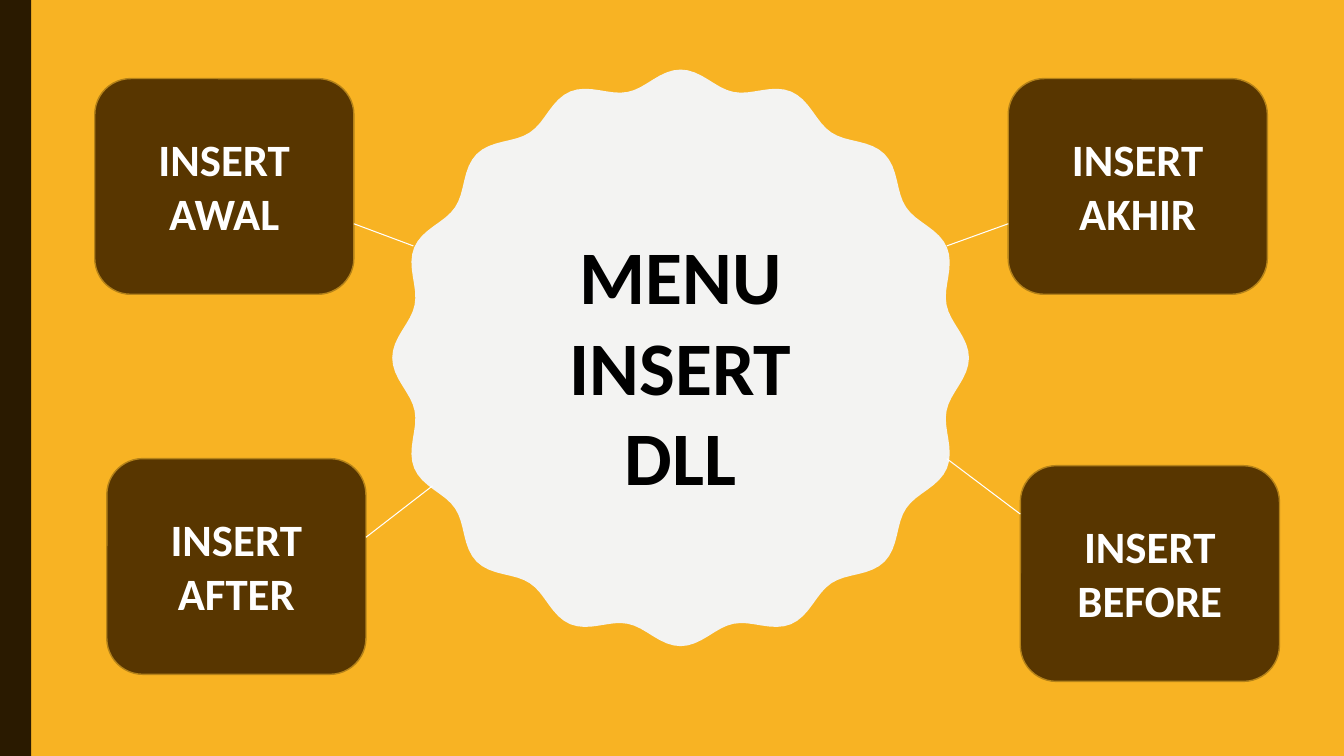
from dataclasses import dataclass
from math import cos, pi, sin

from pptx import Presentation
from pptx.dml.color import RGBColor
from pptx.enum.shapes import MSO_CONNECTOR, MSO_SHAPE
from pptx.enum.text import MSO_AUTO_SIZE, PP_ALIGN
from pptx.oxml.ns import qn
from pptx.util import Inches, Pt
from lxml.etree import SubElement


@dataclass(frozen=True)
class Theme:
    background: str = "F8B323"
    band: str = "2A1A00"
    badge: str = "F3F3F2"
    card: str = "583600"
    card_edge: str = "B48219"
    light: str = "FFFFFF"
    dark: str = "000000"
    font: str = "Calibri"
    title_size: int = 54
    card_size: int = 32


THEME = Theme()
SLIDE_WIDTH, SLIDE_HEIGHT = 13.33, 7.5
CARD_WIDTH, CARD_HEIGHT = 2.57, 2.14


def rgb(value):
    return RGBColor.from_string(value)


def paint(shape, fill, edge=None):
    shape.shadow.inherit = False
    shape.fill.solid()
    shape.fill.fore_color.rgb = rgb(fill)
    if edge:
        shape.line.color.rgb = rgb(edge)
        shape.line.width = Pt(1)
    else:
        shape.line.fill.background()


def add_text(slide, paragraphs, left, top, width, height, *, size, color):
    box = slide.shapes.add_textbox(*map(Inches, (left, top, width, height)))
    frame = box.text_frame
    frame.word_wrap = True
    frame.auto_size = MSO_AUTO_SIZE.SHAPE_TO_FIT_TEXT
    frame.text = "\n".join(paragraphs)
    for paragraph in frame.paragraphs:
        paragraph.alignment = PP_ALIGN.CENTER
        font = paragraph.runs[0].font
        font.name = THEME.font
        font.size = Pt(size)
        font.bold = True
        font.color.rgb = rgb(color)


def add_side_band(slide, left, top, width, height):
    band = slide.shapes.add_shape(
        MSO_SHAPE.RECTANGLE, *map(Inches, (left, top, width, height)))
    paint(band, THEME.band)


def add_badge(slide, left, top, size, paragraphs):
    # Scalloped disc: the radius swings between the lobes and the dips
    lobes, steps, depth = 16, 256, 0.17
    outer = size / 2
    center_x, center_y = left + outer, top + outer
    outline = []
    for step in range(steps):
        angle = 2 * pi * step / steps
        radius = outer - depth * (1 - cos(lobes * angle)) / 2
        outline.append((Inches(center_x + radius * sin(angle)),
                        Inches(center_y - radius * cos(angle))))
    builder = slide.shapes.build_freeform(*outline[0])
    builder.add_line_segments(outline[1:], close=True)
    paint(builder.convert_to_shape(), THEME.badge)

    # Title inside the disc
    add_text(slide, paragraphs, left + 1.35, top + 1.53, 3.02, 2.83,
             size=THEME.title_size, color=THEME.dark)


def add_card(slide, left, top, width, height, label):
    card = slide.shapes.add_shape(
        MSO_SHAPE.ROUNDED_RECTANGLE, *map(Inches, (left, top, width, height)))
    card.adjustments[0] = 0.167
    paint(card, THEME.card, THEME.card_edge)
    margin, label_height = 0.12, 1.18
    add_text(slide, [label], left + margin, top + (height - label_height) / 2,
             width - 2 * margin, label_height,
             size=THEME.card_size, color=THEME.light)


def add_link(slide, start, end):
    link = slide.shapes.add_connector(
        MSO_CONNECTOR.STRAIGHT, *map(Inches, (*start, *end)))
    link.line.color.rgb = rgb(THEME.light)
    link.line.width = Pt(0.75)
    SubElement(link._element.spPr, qn("a:effectLst"))


def build_menu_slide(presentation):
    slide = presentation.slides.add_slide(presentation.slide_layouts[6])
    slide.background.fill.solid()
    slide.background.fill.fore_color.rgb = rgb(THEME.background)

    # Center badge and left band
    add_badge(slide, 3.89, 0.69, 5.72, ["MENU INSERT", "DLL"])
    add_side_band(slide, 0, 0, 0.31, SLIDE_HEIGHT)

    # Menu choices
    cards = [
        ("INSERT AWAL", 0.94, 0.78),
        ("INSERT AKHIR", 10, 0.78),
        ("INSERT AFTER", 1.06, 4.55),
        ("INSERT BEFORE", 10.12, 4.62),
    ]
    for label, left, top in cards:
        add_card(slide, left, top, CARD_WIDTH, CARD_HEIGHT, label)

    # Links from the badge to the cards
    links = [
        ((4.1, 2.44), (3.51, 2.22)),
        ((4.29, 4.82), (3.63, 5.33)),
        ((9.39, 2.44), (10, 2.22)),
        ((9.39, 4.55), (10.12, 5.1)),
    ]
    for start, end in links:
        add_link(slide, start, end)


def main():
    presentation = Presentation()
    presentation.slide_width = Inches(SLIDE_WIDTH)
    presentation.slide_height = Inches(SLIDE_HEIGHT)
    build_menu_slide(presentation)
    presentation.save("out.pptx")


if __name__ == "__main__":
    main()
